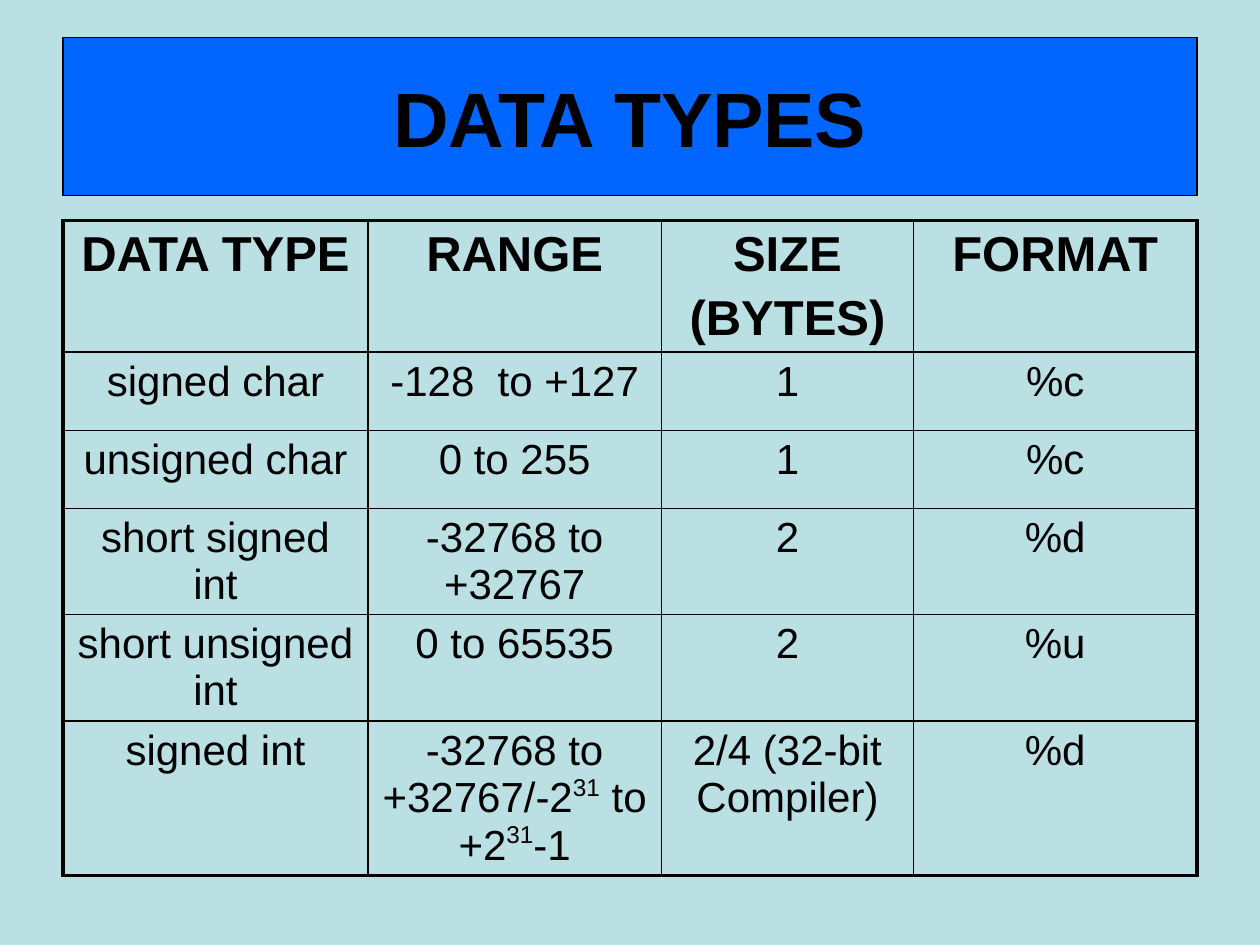
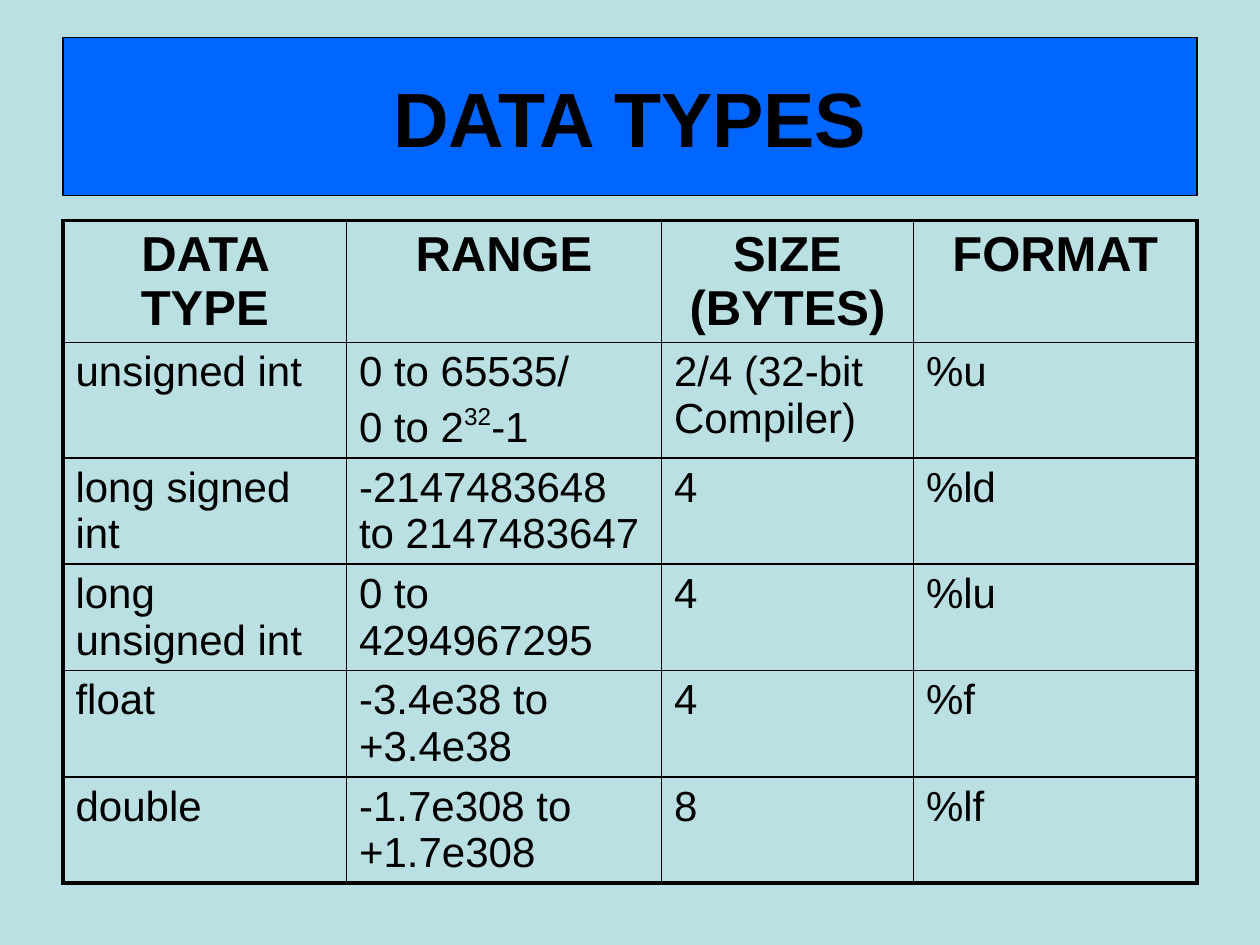
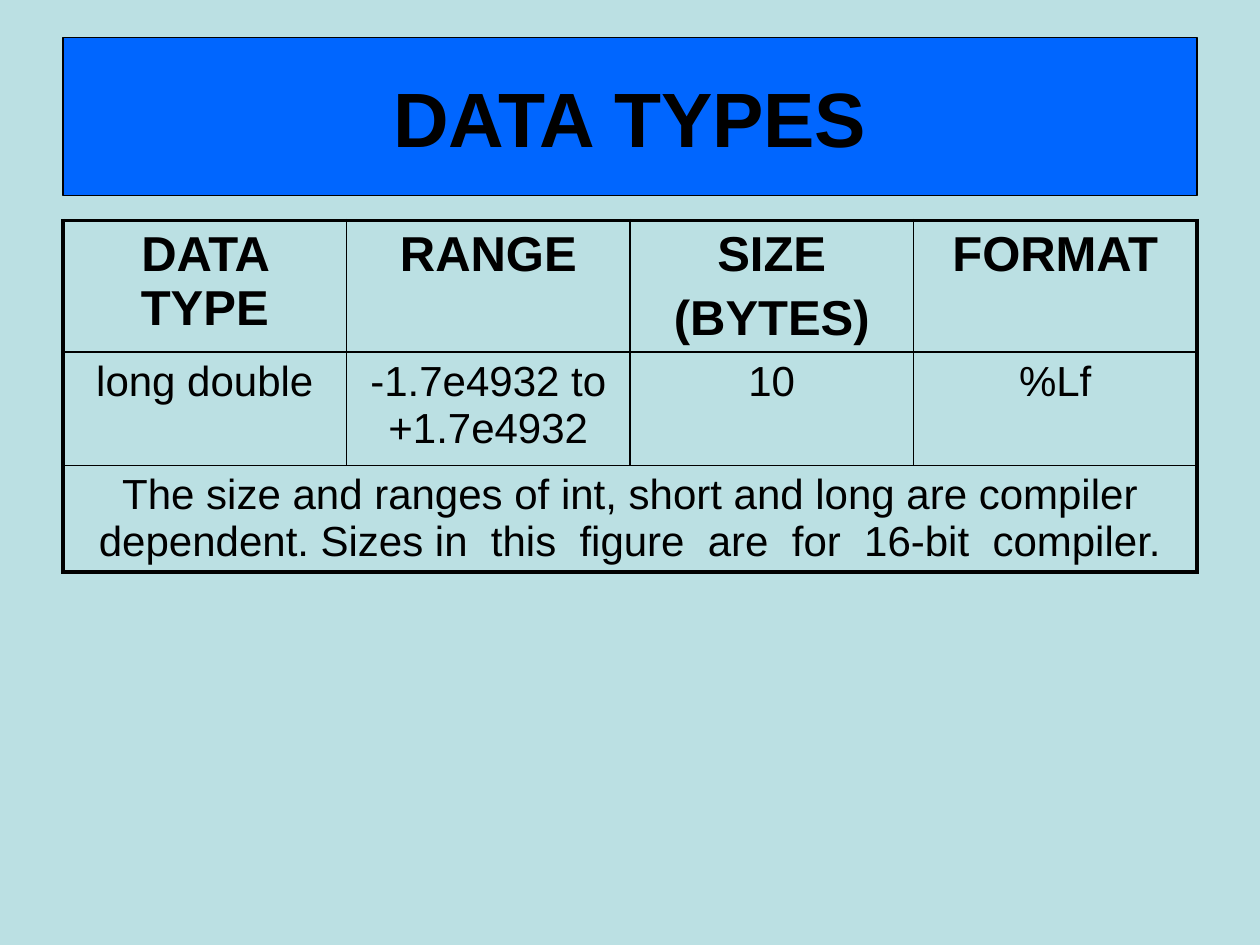
from lxml import etree
from pptx import Presentation
from pptx import util as u
from pptx.dml.color import RGBColor
from pptx.enum import text
from pptx.oxml import ns

PX = 9144  # EMU, 100 px to the inch
BACKGROUND, BAND, INK = "BBE0E3", "0066FF", "000000"
FONT = "Arial"
LEFT, WIDTH = 50, 900
ROW_HEIGHT = 62
OUTER_LINE, INNER_LINE = 2.25, 1
CENTER, START = text.PP_ALIGN.CENTER, text.PP_ALIGN.LEFT
TITLE = "DATA TYPES"


def color(hex_string):
    return RGBColor.from_string(hex_string)


class Deck:
    def __init__(self):
        self.presentation = Presentation()
        self.presentation.slide_width = 1000 * PX
        self.presentation.slide_height = 750 * PX
        self.slide = None

    def add_slide(self, title):
        layout = self.presentation.slide_layouts.get_by_name("Title Only")
        self.slide = self.presentation.slides.add_slide(layout)
        fill = self.slide.background.fill
        fill.solid()
        fill.fore_color.rgb = color(BACKGROUND)
        self.title_band(title)

    def title_band(self, title):
        shape = self.slide.shapes.title
        shape.left, shape.top = LEFT * PX, 30 * PX
        shape.width, shape.height = WIDTH * PX, 125 * PX
        shape.fill.solid()
        shape.fill.fore_color.rgb = color(BAND)
        shape.line.color.rgb = color(INK)
        shape.line.width = u.Pt(0.75)
        frame = shape.text_frame
        frame.auto_size = text.MSO_AUTO_SIZE.NONE
        frame.vertical_anchor = text.MSO_ANCHOR.MIDDLE
        self.fill_text(frame, title, 44, True, CENTER)

    def fill_text(self, frame, content, size, bold, alignment):
        """Newlines part paragraphs; text between two ^ is superscript."""
        for index, line in enumerate(content.split("\n")):
            paragraph = frame.add_paragraph() if index else frame.paragraphs[0]
            paragraph.alignment = alignment
            paragraph.space_before = u.Pt(size * 0.2 if index else 0)
            for part, piece in enumerate(line.split("^")):
                run = paragraph.add_run()
                run.text = piece
                run.font.name = FONT
                run.font.size = u.Pt(size)
                run.font.bold = bold
                run.font.color.rgb = color(INK)
                if part % 2:
                    run._r.get_or_add_rPr().set("baseline", "40000")

    def table(self, columns, rows, height, alignment=CENTER, tall_rows=None):
        """A row with a single text spans the whole width."""
        shape = self.slide.shapes.add_table(
            len(rows), len(columns), LEFT * PX, 175 * PX, WIDTH * PX, height * PX)
        table = shape.table
        table.first_row = table.horz_banding = False
        for column, width in zip(table.columns, columns):
            column.width = width * PX
        for index, row in enumerate(table.rows):
            row.height = (tall_rows or {}).get(index, ROW_HEIGHT) * PX
        shape.height = height * PX

        last_row, last_column = len(rows) - 1, len(columns) - 1
        for row, contents in enumerate(rows):
            spans = len(contents) == 1
            if spans:
                table.cell(row, 0).merge(table.cell(row, last_column))
            for column in range(len(columns)):
                cell = table.cell(row, column)
                cell.fill.background()
                self.borders(cell, {
                    "lnL": column == 0,
                    "lnR": spans or column == last_column,
                    "lnT": row == 0,
                    "lnB": row == last_row})
            for column, content in enumerate(contents):
                header = row == 0
                self.fill_text(table.cell(row, column).text_frame, content,
                               28 if header else 24, header,
                               CENTER if header else alignment)

    def borders(self, cell, outer_sides):
        properties = cell._tc.get_or_add_tcPr()
        for index, (side, outer) in enumerate(outer_sides.items()):
            line = etree.Element(ns.qn("a:" + side))
            line.set("w", str(u.Pt(OUTER_LINE if outer else INNER_LINE)))
            fill = etree.SubElement(line, ns.qn("a:solidFill"))
            etree.SubElement(fill, ns.qn("a:srgbClr")).set("val", INK)
            properties.insert(index, line)


def main():
    deck = Deck()
    header = ["DATA TYPE", "RANGE", "SIZE\n(BYTES)", "FORMAT"]

    deck.add_slide(TITLE)
    deck.table([242, 233, 200, 225], [
        header,
        ["signed char", "-128  to +127", "1", "%c"],
        ["unsigned char", "0 to 255", "1", "%c"],
        ["short signed int", "-32768 to +32767", "2", "%d"],
        ["short unsigned int", "0 to 65535", "2", "%u"],
        ["signed int", "-32768 to +32767/-2^31^ to +2^31^-1",
         "2/4 (32-bit Compiler)", "%d"],
    ], 546)

    deck.add_slide(TITLE)
    deck.table([225, 250, 200, 225], [
        [label.replace("\n", " ") for label in header],
        ["unsigned int", "0 to 65535/\n0 to 2^32^-1", "2/4 (32-bit Compiler)", "%u"],
        ["long signed int", "-2147483648 to 2147483647", "4", "%ld"],
        ["long unsigned int", "0 to 4294967295", "4", "%lu"],
        ["float", "-3.4e38 to +3.4e38", "4", "%f"],
        ["double", "-1.7e308 to +1.7e308", "8", "%lf"],
    ], 561, alignment=START)

    deck.add_slide(TITLE)
    deck.table([225] * 4, [
        header,
        ["long double", "-1.7e4932 to +1.7e4932", "10", "%Lf"],
        ["The size and ranges of int, short and long are compiler dependent. "
         "Sizes in  this  figure  are  for  16-bit  compiler."],
    ], 293, tall_rows={1: 90})

    deck.presentation.save("out.pptx")


if __name__ == "__main__":
    main()
